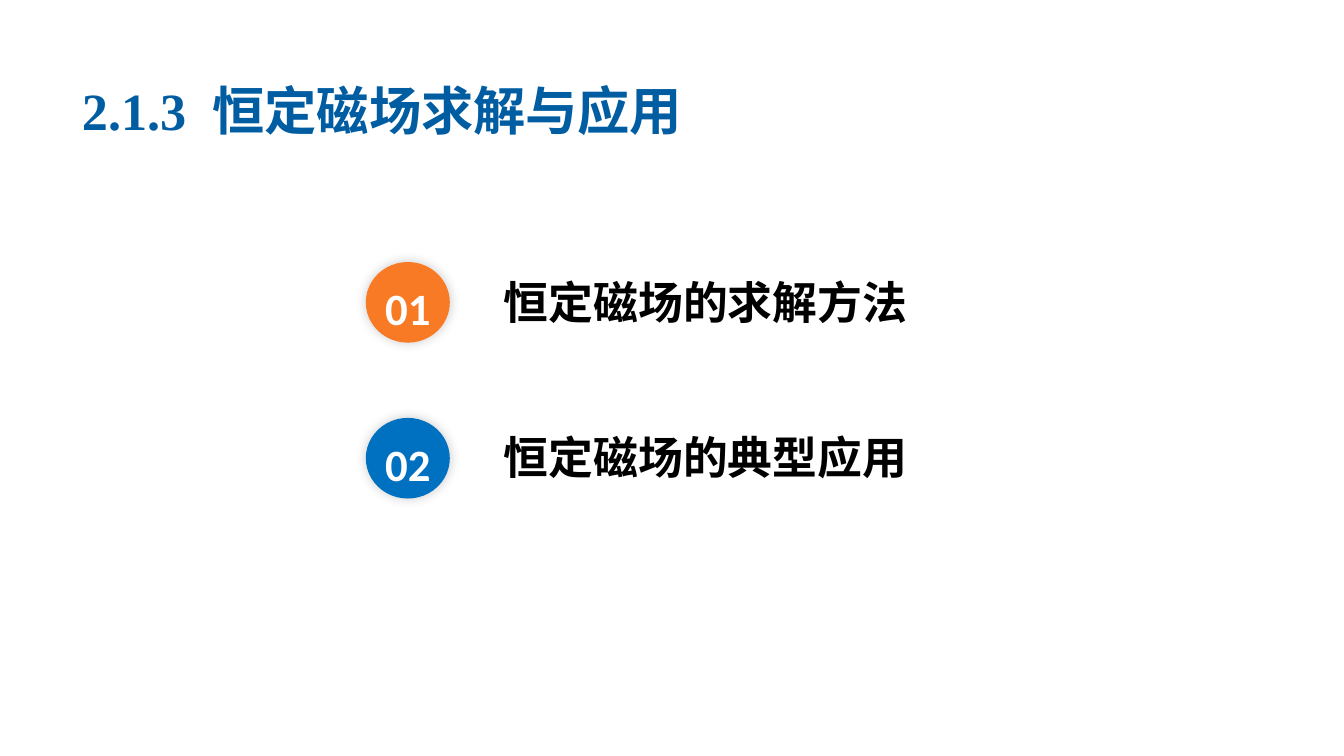
from lxml.etree import SubElement
from pptx import Presentation
from pptx.dml.color import RGBColor
from pptx.enum.shapes import MSO_SHAPE
from pptx.enum.text import MSO_ANCHOR, MSO_AUTO_SIZE, PP_ALIGN
from pptx.oxml.ns import qn
from pptx.util import Pt

COLORS = {
    "title": "005DA2",
    "orange": "F87A24",
    "blue": "0070C0",
    "white": "FFFFFF",
    "black": "000000",
}
ITEMS = [
    ("01", "恒定磁场的求解方法", "orange"),
    ("02", "恒定磁场的典型应用", "blue"),
]
ITEM_LEFT, ITEM_TOP, ITEM_PITCH = 196, 140.4, 83.5
ITEM_WIDTH, ITEM_HEIGHT = 306, 43.2


def rgb(name):
    return RGBColor.from_string(COLORS[name])


def set_font(p, name, size, color):
    p.font.name = name
    p.font.size = Pt(size)
    p.font.bold = True
    p.font.color.rgb = rgb(color)


def clear_margins(tf):
    tf.margin_left = tf.margin_right = tf.margin_top = tf.margin_bottom = 0


def add_soft_shadow(sp):
    """Give the shape a faint black glow-like shadow with no offset."""
    sp.shadow.inherit = False
    effects = sp._element.spPr.find(qn("a:effectLst"))
    shadow = SubElement(effects, qn("a:outerShdw"), blurRad=str(Pt(6)),
                        dist="0", dir="18900000", algn="ctr", rotWithShape="0")
    color = SubElement(shadow, qn("a:srgbClr"), val=COLORS["black"])
    SubElement(color, qn("a:alpha"), val="20000")


def place_title(s, text, left, top, width, height):
    sp = s.shapes.title
    sp.left, sp.top, sp.width, sp.height = Pt(left), Pt(top), Pt(width), Pt(height)
    tf = sp.text_frame
    tf.text = text
    tf.auto_size = MSO_AUTO_SIZE.NONE
    tf.vertical_anchor = MSO_ANCHOR.MIDDLE
    p = tf.paragraphs[0]
    p.alignment = PP_ALIGN.LEFT
    set_font(p, "Times New Roman", 28, "title")


def add_item(s, number, label, color, left, top, width, height):
    """Place a numbered disc and, to its right, the label."""
    disc = s.shapes.add_shape(MSO_SHAPE.OVAL, Pt(left), Pt(top), Pt(45), Pt(height))
    disc.fill.solid()
    disc.fill.fore_color.rgb = rgb(color)
    disc.line.fill.background()
    add_soft_shadow(disc)
    tf = disc.text_frame
    clear_margins(tf)
    tf.vertical_anchor = MSO_ANCHOR.MIDDLE
    tf.text = number
    p = tf.paragraphs[0]
    p.alignment = PP_ALIGN.CENTER
    p.line_spacing = 1.2
    set_font(p, "Calibri", 24, "white")

    indent = 74
    box = s.shapes.add_textbox(Pt(left + indent), Pt(top + 6.5),
                               Pt(width - indent), Pt(29))
    tf = box.text_frame
    clear_margins(tf)
    tf.word_wrap = True
    tf.auto_size = MSO_AUTO_SIZE.SHAPE_TO_FIT_TEXT
    tf.text = label
    p = tf.paragraphs[0]
    p.alignment = PP_ALIGN.JUSTIFY
    set_font(p, "Calibri", 24, "black")


def main():
    prs = Presentation()
    prs.slide_width, prs.slide_height = Pt(720), Pt(405)
    s = prs.slides.add_slide(prs.slide_layouts[5])
    place_title(s, "2.1.3  恒定磁场求解与应用", 36.7, 39, 510.5, 39)
    for i, item in enumerate(ITEMS):
        add_item(s, *item, ITEM_LEFT, ITEM_TOP + i * ITEM_PITCH,
                 ITEM_WIDTH, ITEM_HEIGHT)
    prs.save("out.pptx")


if __name__ == "__main__":
    main()
